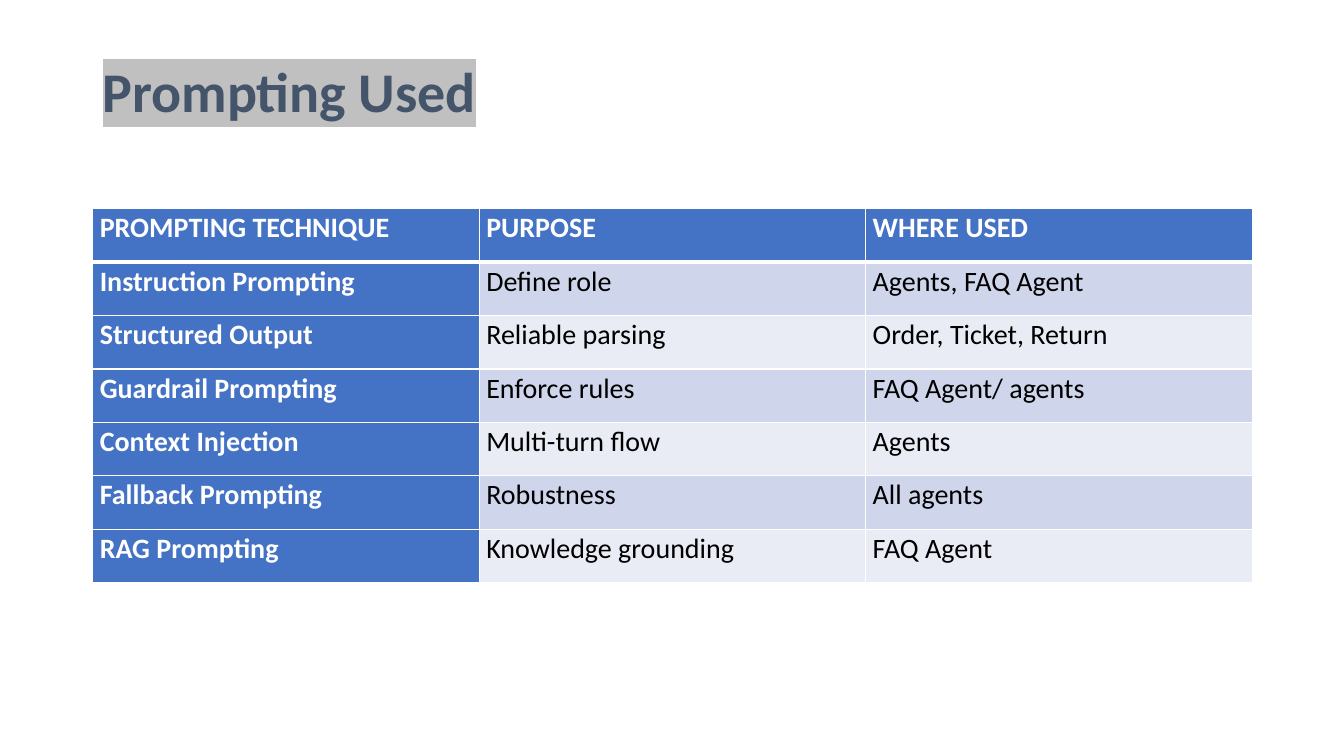
from lxml.etree import SubElement
from pptx import Presentation
from pptx.dml.color import RGBColor
from pptx.enum.text import MSO_ANCHOR
from pptx.oxml import parse_xml
from pptx.oxml.ns import nsdecls, qn
from pptx.util import Inches, Pt

WHITE = RGBColor(0xFF, 0xFF, 0xFF)
BLACK = RGBColor(0x00, 0x00, 0x00)
SLATE = RGBColor(0x44, 0x54, 0x6A)
SILVER = RGBColor(0xC0, 0xC0, 0xC0)
BLUE = RGBColor(0x44, 0x72, 0xC4)
BANDS = (RGBColor(0xE9, 0xEB, 0xF5), RGBColor(0xCF, 0xD5, 0xEA))

FONT = "Calibri"
LEFT, WIDTH = 0.92, 11.5
ROW_HEIGHT = 0.53

TECHNIQUES = (
    ("PROMPTING TECHNIQUE", "PURPOSE", "WHERE USED"),
    ("Instruction Prompting", "Define role", "Agents, FAQ Agent"),
    ("Structured Output", "Reliable parsing", "Order, Ticket, Return"),
    ("Guardrail Prompting", "Enforce rules", "FAQ Agent/ agents"),
    ("Context Injection", "Multi-turn flow", "Agents"),
    ("Fallback Prompting", "Robustness", "All agents"),
    ("RAG Prompting", "Knowledge grounding", "FAQ Agent"),
)


def style_span(span, size, color, bold):
    span.font.name = FONT
    span.font.size = Pt(size)
    span.font.bold = bold
    span.font.color.rgb = color


def highlight(span, color):
    fill = span.font._element.find(qn("a:solidFill"))
    fill.addnext(parse_xml(
        f'<a:highlight {nsdecls("a")}><a:srgbClr val="{color}"/></a:highlight>'))


def add_title(page, text):
    box = page.shapes.add_textbox(
        Inches(LEFT), Inches(0.4), Inches(WIDTH), Inches(1.07))
    frame = box.text_frame
    frame.word_wrap = True
    frame.vertical_anchor = MSO_ANCHOR.MIDDLE
    frame.text = text
    para = frame.paragraphs[0]
    para.line_spacing = 0.9
    span = para.runs[0]
    style_span(span, 40, SLATE, True)
    highlight(span, SILVER)


def add_border(cell, side, width):
    line = SubElement(cell._tc.get_or_add_tcPr(), qn(f"a:ln{side}"),
                      w=str(Pt(width)))
    fill = SubElement(line, qn("a:solidFill"))
    SubElement(fill, qn("a:srgbClr"), val=str(WHITE))


def fill_cell(cell, text, row, column):
    heading = row == 0 or column == 0
    cell.margin_left = cell.margin_right = Inches(0.07)
    cell.margin_top = cell.margin_bottom = 0
    cell.text = text
    para = cell.text_frame.paragraphs[0]
    para.line_spacing = 1.07
    para.space_after = Pt(8)
    style_span(para.runs[0], 20, WHITE if heading else BLACK, heading)
    widths = {"L": 1, "R": 1, "T": 3 if row == 1 else 1, "B": 3 if row == 0 else 1}
    for side, width in widths.items():
        add_border(cell, side, width)
    cell.fill.solid()
    cell.fill.fore_color.rgb = BLUE if heading else BANDS[row % 2]


def add_grid(page, rows):
    frame = page.shapes.add_table(
        len(rows), len(rows[0]), Inches(LEFT), Inches(2.07),
        Inches(WIDTH), Inches(ROW_HEIGHT * len(rows)))
    for row, texts in enumerate(rows):
        for column, text in enumerate(texts):
            fill_cell(frame.table.cell(row, column), text, row, column)


def main():
    deck = Presentation()
    deck.slide_width = Inches(13.33)
    deck.slide_height = Inches(7.5)
    page = deck.slides.add_slide(deck.slide_layouts[6])
    add_title(page, "Prompting Used")
    add_grid(page, TECHNIQUES)
    deck.save("out.pptx")


if __name__ == "__main__":
    main()
